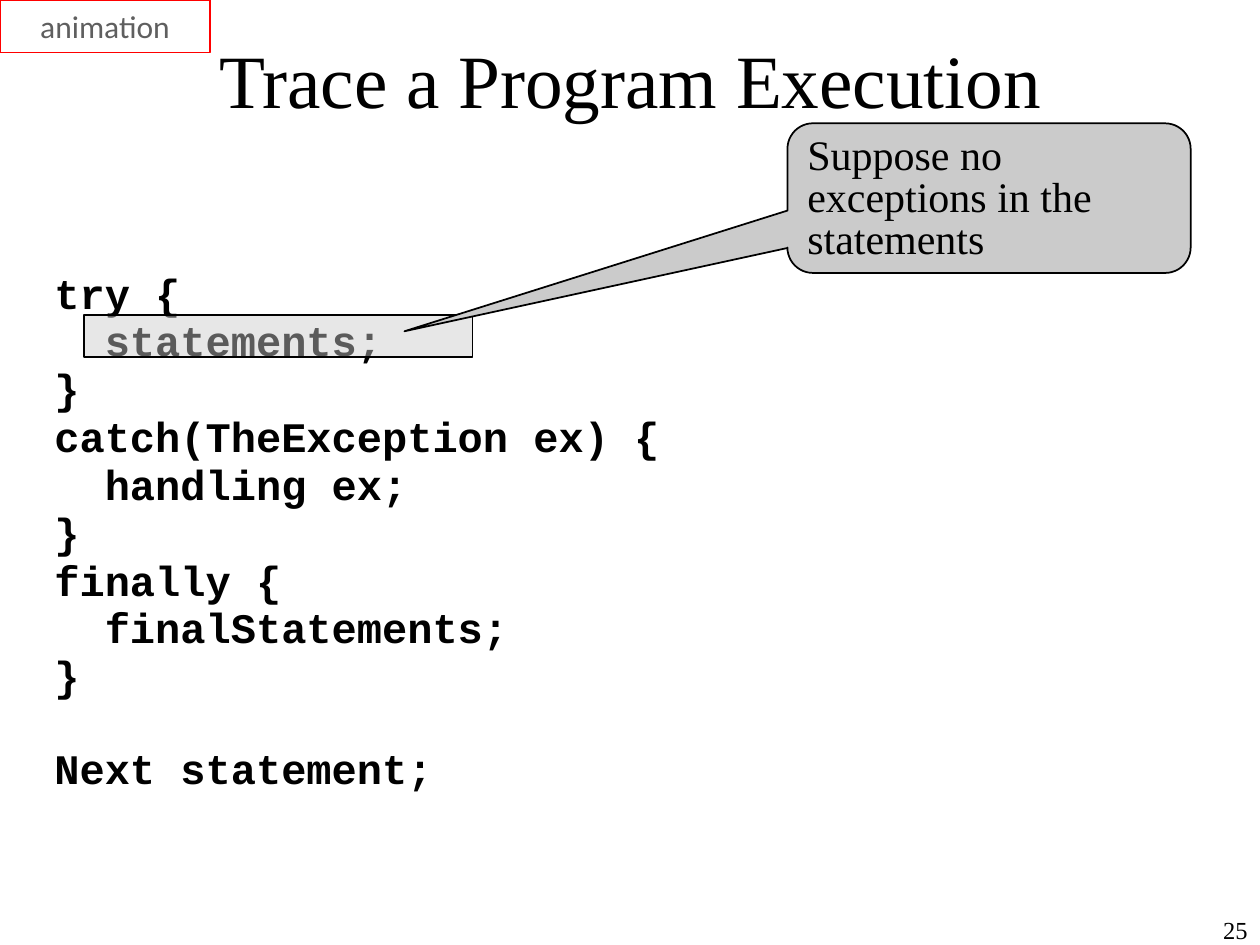
"""Build the slide that traces a try-catch-finally program without exceptions."""
from lxml import etree
from pptx import Presentation
from pptx.dml.color import RGBColor
from pptx.enum.shapes import MSO_SHAPE
from pptx.enum.text import MSO_ANCHOR, PP_ALIGN
from pptx.oxml.ns import qn
from pptx.util import Inches, Pt

RECTANGLE, CALLOUT = MSO_SHAPE.RECTANGLE, MSO_SHAPE.ROUNDED_RECTANGULAR_CALLOUT
LEFT, CENTER, RIGHT = PP_ALIGN.LEFT, PP_ALIGN.CENTER, PP_ALIGN.RIGHT
TOP, MIDDLE = MSO_ANCHOR.TOP, MSO_ANCHOR.MIDDLE

COLORS = {"ink": "000000", "muted": "5F5F5F", "red": "FF0000", "gray": "CBCBCB"}
SERIF, SANS, MONO = "Times New Roman", "Calibri", "Courier New"
WIDTH, HEIGHT = 10, 7.5
COLUMN, ROW = WIDTH / 120, HEIGHT / 90

TITLE = "Trace a Program Execution"
TAG = "animation"
REMARK = "Suppose no exceptions in the statements"
PAGE_NUMBER = "25"
CODE = [
    "try {",
    "  statements;",
    "}",
    "catch(TheException ex) {",
    "  handling ex;",
    "}",
    "finally {",
    "  finalStatements;",
    "}",
    "Next statement;",
]
CODE_GAP, BLANK_LINE_GAP = 6, 32
CALLOUT_TAIL = (-1.45, 0.89, 0.17)
HIGHLIGHT_ALPHA = 45


def grid(left, top, width, height):
    """Turn grid columns and rows into slide lengths."""
    return [Inches(count * unit) for count, unit in
            zip((left, top, width, height), (COLUMN, ROW, COLUMN, ROW))]


def color(name):
    """Look up a named colour."""
    return RGBColor.from_string(COLORS[name])


def write(box, lines, font, size, ink="ink", align=LEFT, anchor=TOP,
          bold=False, spacing=1.0, wrap=True):
    """Fill a box with one paragraph per line and return the paragraphs."""
    frame = box.text_frame
    frame.word_wrap, frame.vertical_anchor = wrap, anchor
    frame.text = "\n".join(lines)
    for para in frame.paragraphs:
        para.alignment, para.line_spacing = align, spacing
        para.font.name, para.font.size, para.font.bold = font, Pt(size), bold
        para.font.color.rgb = color(ink)
    return frame.paragraphs


def add_panel(page, kind, place, line, fill=None):
    """Add an outlined shape, filled only when a fill is named."""
    panel = page.shapes.add_shape(kind, *grid(*place))
    panel.shadow.inherit = False
    panel.line.color.rgb, panel.line.width = color(line), Pt(1)
    if fill:
        panel.fill.solid()
        panel.fill.fore_color.rgb = color(fill)
    else:
        panel.fill.background()
    return panel


def main():
    """Lay out the slide and save the deck."""
    deck = Presentation()
    deck.slide_width, deck.slide_height = Inches(WIDTH), Inches(HEIGHT)
    page = deck.slides.add_slide(deck.slide_layouts[6])

    number = page.shapes.add_textbox(*grid(95, 87, 25, 3))
    write(number, [PAGE_NUMBER], SERIF, 14, align=RIGHT, anchor=MIDDLE)

    title = page.shapes.add_textbox(*grid(9, 4, 102, 7))
    write(title, [TITLE], SERIF, 43, align=CENTER, anchor=MIDDLE)

    tag = add_panel(page, RECTANGLE, (0, 0, 20, 5), "red")
    write(tag, [TAG], SANS, 18, "muted", CENTER, MIDDLE, wrap=False)

    program = page.shapes.add_textbox(*grid(4, 25, 61, 53))
    paragraphs = write(program, CODE, MONO, 24, bold=True, spacing=0.74)
    program.text_frame.margin_top = Pt(CODE_GAP + 3.6)
    for para in paragraphs[1:]:
        para.space_before = Pt(CODE_GAP)
    paragraphs[-1].space_before = Pt(BLANK_LINE_GAP)

    highlight = add_panel(page, RECTANGLE, (8, 30, 37, 4), "ink", "gray")
    tint = highlight.element.spPr.find(qn("a:solidFill"))[0]
    etree.SubElement(tint, qn("a:alpha")).set("val", str(HIGHLIGHT_ALPHA * 1000))

    remark = add_panel(page, CALLOUT, (75, 11.75, 38.4, 14.25), "ink", "gray")
    for index, value in enumerate(CALLOUT_TAIL):
        remark.adjustments[index] = value
    write(remark, [REMARK], SERIF, 24, spacing=0.83)

    deck.save("out.pptx")


if __name__ == "__main__":
    main()
